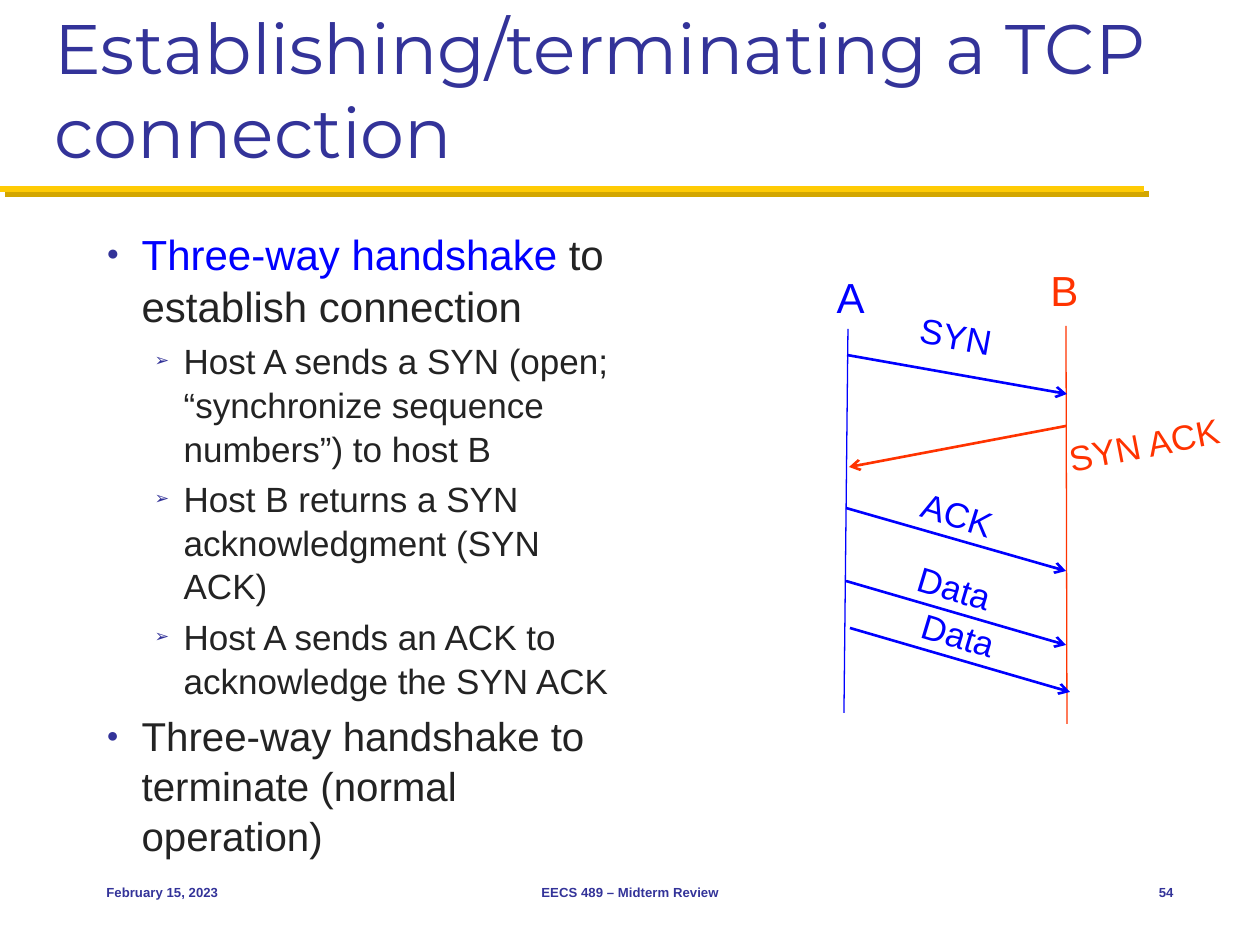
from lxml import etree
from pptx import Presentation
from pptx.dml.color import RGBColor
from pptx.enum.shapes import MSO_CONNECTOR
from pptx.enum.text import MSO_ANCHOR, MSO_AUTO_SIZE, PP_ALIGN
from pptx.oxml.ns import qn
from pptx.util import Emu, Pt

STRAIGHT = MSO_CONNECTOR.STRAIGHT
TOP, MIDDLE, BOTTOM = MSO_ANCHOR.TOP, MSO_ANCHOR.MIDDLE, MSO_ANCHOR.BOTTOM
FIXED = MSO_AUTO_SIZE.NONE
LEFT, CENTER, RIGHT = PP_ALIGN.LEFT, PP_ALIGN.CENTER, PP_ALIGN.RIGHT
SCALE = 914400 / 126
COLORS = {
    "navy": "333399", "blue": "0000FF", "red": "FF3300",
    "ink": "232323", "gold": "FFCB05", "shade": "D3A600",
}
BULLETS = [("●", 35, 35), ("➢", 77, 29)]
POINTS = [
    (0, 24, [("Three-way handshake", "blue"), (" to establish connection", "ink")]),
    (1, 20, [("Host A sends a SYN (open; “synchronize sequence numbers”) to host B", "ink")]),
    (1, 20, [("Host B returns a SYN acknowledgment (SYN ACK)", "ink")]),
    (1, 20, [("Host A sends an ACK to acknowledge the SYN ACK", "ink")]),
    (0, 23, [("Three-way handshake to terminate (normal operation)", "ink")]),
]
HOSTS = [
    ("A", (823, 265, 55, 63), (848, 329, 844, 713), "blue"),
    ("B", (1038, 258, 53, 63), (1066, 326, 1067, 724), "red"),
]
MESSAGES = [
    ("SYN", (847, 355, 1067, 394), (907, 308, 98, 55), 10.1, "blue"),
    ("SYN ACK", (1066, 426, 849, 467), (1054, 417, 180, 54), -10.9, "red"),
    ("ACK", (846, 508, 1066, 571), (908, 487, 99, 54), 17.4, "blue"),
    ("Data", (846, 581, 1066, 645), (904, 560, 101, 55), 16.7, "blue"),
    ("Data", (850, 628, 1070, 692), (908, 607, 101, 55), 16.7, "blue"),
]
FOOTERS = [
    ("February 15, 2023", (94, 861, 263, 63), LEFT),
    ("EECS 489 – Midterm Review", (430, 861, 400, 63), CENTER),
    ("54", (1102, 861, 84, 63), RIGHT),
]


def px(n):
    """Turn pixels into EMU."""
    return Emu(round(n * SCALE))


def rgb(name):
    """Look up a named colour."""
    return RGBColor.from_string(COLORS[name])


def style(font, size, color, name="Arial", bold=False):
    """Set the look of a font."""
    font.name, font.size, font.bold = name, Pt(size), bold
    font.color.rgb = rgb(color)


def place(shape, box):
    """Move and size a shape."""
    shape.left, shape.top, shape.width, shape.height = map(px, box)


def add_line(slide, ends, color, width, arrow=False):
    """Draw a straight line and return its empty effect list."""
    line = slide.shapes.add_connector(STRAIGHT, *map(px, ends))
    line.line.color.rgb = rgb(color)
    line.line.width = Pt(width)
    if arrow:
        etree.SubElement(line.line._get_or_add_ln(), qn("a:tailEnd"), type="arrow")
    return etree.SubElement(line._element.spPr, qn("a:effectLst"))


def add_label(slide, text, box, size, color, align=CENTER, turn=0, bold=False):
    """Write one line of text, turned if asked."""
    label = slide.shapes.add_textbox(*map(px, box))
    label.rotation = turn
    frame = label.text_frame
    frame.word_wrap = False
    frame.vertical_anchor = MIDDLE
    para = frame.paragraphs[0]
    para.text, para.alignment = text, align
    style(para.font, size, color, bold=bold)


def add_rule(slide):
    """Draw the gold rule and its hard shadow."""
    effects = add_line(slide, (0, 189, 1144, 189), "gold", 3.5)
    shadow = etree.SubElement(effects, qn("a:outerShdw"), dist="53340",
                              dir="2700000", algn="ctr", rotWithShape="0")
    etree.SubElement(shadow, qn("a:srgbClr"), val=COLORS["shade"])


def set_title(shape, text):
    """Fill the title placeholder."""
    place(shape, (42, 21, 1176, 158))
    frame = shape.text_frame
    frame.auto_size, frame.vertical_anchor = FIXED, BOTTOM
    para = frame.paragraphs[0]
    para.text, para.alignment = text, LEFT
    style(para.font, 40, "navy", "Montserrat")


def set_bullet(para, level):
    """Give a paragraph its indent and bullet."""
    mark, margin, hang = BULLETS[level]
    para.level = level
    props = para._p.get_or_add_pPr()
    props.set("marL", str(px(margin)))
    props.set("indent", str(-px(hang)))
    tint = etree.SubElement(props, qn("a:buClr"))
    etree.SubElement(tint, qn("a:srgbClr"), val=COLORS["navy"])
    etree.SubElement(props, qn("a:buSzPct"), val="50000")
    etree.SubElement(props, qn("a:buFont"), typeface="Arial")
    etree.SubElement(props, qn("a:buChar"), char=mark)


def set_body(shape):
    """Fill the body placeholder with the list."""
    place(shape, (94, 220, 536, 609))
    frame = shape.text_frame
    frame.auto_size, frame.vertical_anchor = FIXED, TOP
    for i, (level, size, runs) in enumerate(POINTS):
        para = frame.add_paragraph() if i else frame.paragraphs[0]
        para.line_spacing = 1.04
        para.space_before = Pt(size * 0.2)
        set_bullet(para, level)
        for text, color in runs:
            run = para.add_run()
            run.text = text
            style(run.font, size, color)


def main():
    """Build and save the slide."""
    deck = Presentation()
    deck.slide_width, deck.slide_height = px(1260), px(945)
    slide = deck.slides.add_slide(deck.slide_layouts[1])
    add_rule(slide)
    set_title(slide.shapes.title, "Establishing/terminating a TCP connection")
    set_body(slide.placeholders[1])
    for name, box, ends, color in HOSTS:
        add_line(slide, ends, color, 0.75)
        add_label(slide, name, box, 24, color)
    for text, ends, box, turn, color in MESSAGES:
        add_line(slide, ends, color, 1.5, arrow=True)
        add_label(slide, text, box, 20, color, turn=turn)
    for text, box, align in FOOTERS:
        add_label(slide, text, box, 7.5, "navy", align, bold=True)
    deck.save("out.pptx")


if __name__ == "__main__":
    main()
